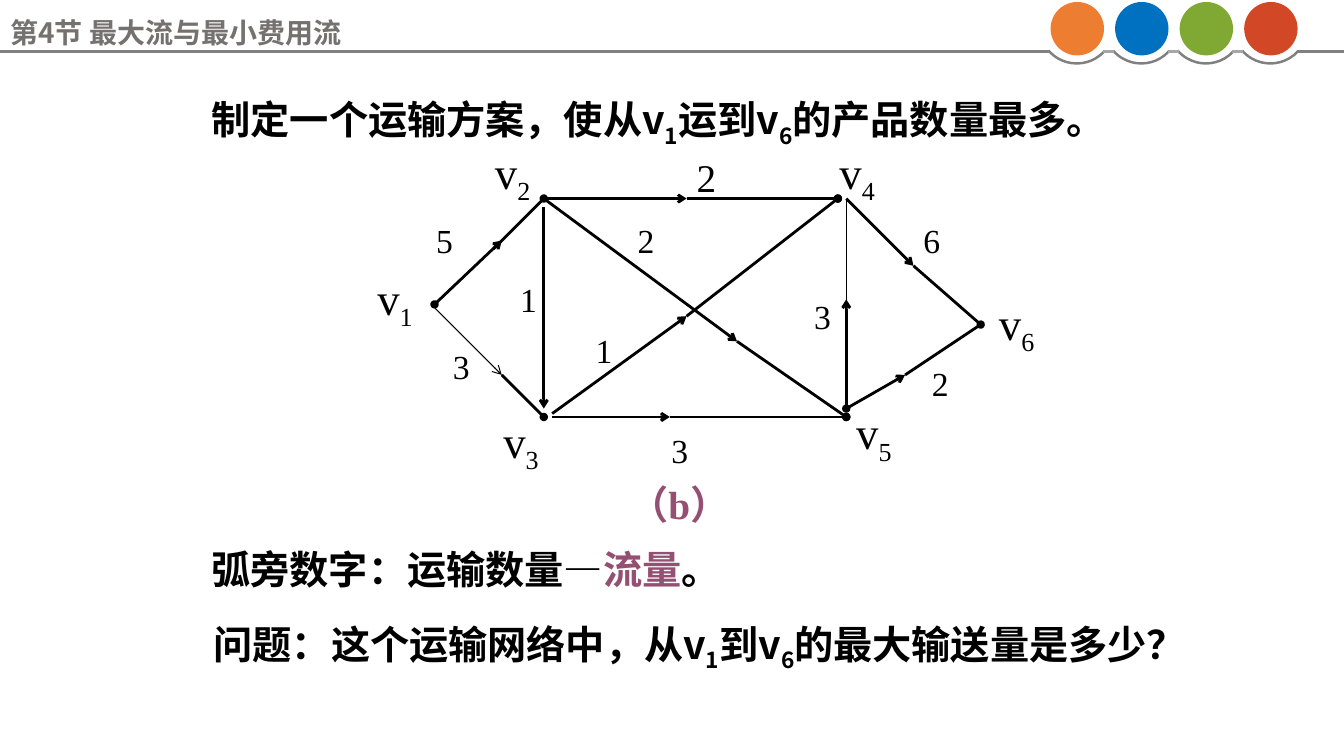
from dataclasses import dataclass

from lxml import etree
from pptx import Presentation
from pptx import util as u
from pptx.dml.color import RGBColor
from pptx.enum import shapes, text
from pptx.oxml import ns


@dataclass(frozen=True)
class Theme:
    serif: str = "Times New Roman"
    sans: str = "Noto Sans CJK SC"
    ink: str = "000000"
    accent: str = "954F72"
    heading: str = "767171"
    rule: str = "808080"
    bridge: str = "A6A6A6"
    discs: tuple = ("ED7D31", "0070C0", "80A933", "D24726")
    vertex_size: int = 32
    body_size: int = 28
    heading_size: int = 20
    weight_size: int = 24
    bold_line: float = 2
    thin_line: float = 0.75
    rule_line: float = 1.77


THEME = Theme()
CELL = 1 / 12
LEFT, TOP = 4.31, 1.97
RULE_Y = 0.51
DISC_LEFT, DISC_PITCH, DISC_SIZE = 10.42, 0.64, 0.53
CRADLE_SIZE = 0.74

VERTICES = [
    ("v_1", -8, 8, 10), ("v_2", 6, -7, 7.3), ("v_3", 7, 25, 9),
    ("v_4", 47, -7, 7.6), ("v_5", 49, 24, 7.6), ("v_6", 66, 11, 7.7),
]
WEIGHTS = [
    ("5", -1, 2, 11), ("3", 1, 17, 5.4), ("1", 9, 9, 5.4), ("1", 18, 15, 12),
    ("2", 23, 2, 6), ("3", 27, 27, 10), ("3", 44, 11, 5.4), ("6", 57, 2, 9),
    ("2", 58, 19, 8),
]
ARCS = [
    ((0, 12.6), (8, 5), "oval", "arrow"),
    ((7, 6), (13, 0), None, "oval"),
    ((8, 21), (13, 26), None, "oval"),
    ((13, 0), (30, 0), None, "arrow"),
    ((30, 0), (48, 0), None, "oval"),
    ((13, 1), (13, 25), None, "arrow"),
    ((13, 0), (36, 17), None, "arrow"),
    ((36, 17), (49, 26), None, "oval"),
    ((14, 25.6), (30, 14), None, "arrow"),
    ((30, 14), (48, 0), None, "oval"),
    ((14, 26), (28, 26), None, "arrow"),
    ((28, 26), (49, 26), None, "oval"),
    ((49, 25), (49, 12), "oval", "arrow"),
    ((49, 0), (57, 8), None, "arrow"),
    ((57, 8), (65, 15), None, "oval"),
    ((49, 25), (56, 21), None, "arrow"),
    ((56, 21), (65, 15), None, None),
]
THIN_ARCS = [((0, 13), (8, 21), None, "arrow"), ((49, 0), (49, 13), None, None)]


def grid(col, row):
    return LEFT + col * CELL, TOP + row * CELL


def write(frame, content, *, size, font=THEME.serif, color=THEME.ink, bold=False):
    frame.word_wrap = True
    frame.auto_size = text.MSO_AUTO_SIZE.NONE
    frame.vertical_anchor = text.MSO_ANCHOR.TOP
    paragraph = frame.paragraphs[0]
    paragraph.alignment = text.PP_ALIGN.LEFT
    for stretch, wording in enumerate(content.split("*")):
        shade = THEME.accent if stretch % 2 else color
        plain, *indexed = wording.split("_")
        pieces = [(plain, False)]
        for part in indexed:
            pieces += [(part[0], True), (part[1:], False)]
        for piece, subscript in pieces:
            if not piece:
                continue
            run = paragraph.add_run()
            run.text = piece
            run.font.size = u.Pt(size)
            run.font.name = font
            run.font.bold = bold
            run.font.color.rgb = RGBColor.from_string(shade)
            props = run.font._element
            east_asian = etree.SubElement(props, ns.qn("a:ea"))
            east_asian.set("typeface", THEME.sans)
            if subscript:
                props.set("baseline", "-25000")


def add_text(slide, content, left, top, width, height, **style):
    box = slide.shapes.add_textbox(*map(u.Inches, (left, top, width, height)))
    write(box.text_frame, content, **style)


def add_line(slide, start, end, color, weight, head=None, tail=None):
    line = slide.shapes.add_connector(
        shapes.MSO_CONNECTOR.STRAIGHT, *map(u.Inches, (*start, *end)))
    line.line.color.rgb = RGBColor.from_string(color)
    line.line.width = u.Pt(weight)
    outline = line.line._get_or_add_ln()
    for tag, ending in (("a:headEnd", head), ("a:tailEnd", tail)):
        if ending:
            etree.SubElement(outline, ns.qn(tag)).set("type", ending)
    etree.SubElement(line._element.spPr, ns.qn("a:effectLst"))


def add_round(slide, kind, left, top, size):
    figure = slide.shapes.add_shape(kind, *map(u.Inches, (left, top, size, size)))
    figure.shadow.inherit = False
    return figure


def add_disc(slide, left, color):
    disc = add_round(slide, shapes.MSO_SHAPE.OVAL, left, 0.02, DISC_SIZE)
    disc.fill.solid()
    disc.fill.fore_color.rgb = RGBColor.from_string(color)
    disc.line.fill.background()


def add_cradle(slide, left):
    cradle = add_round(slide, shapes.MSO_SHAPE.ARC, left, -0.11, CRADLE_SIZE)
    cradle.adjustments[0] = 25.38
    cradle.adjustments[1] = 83.6
    cradle.fill.background()
    cradle.line.color.rgb = RGBColor.from_string(THEME.rule)
    cradle.line.width = u.Pt(THEME.rule_line)


def add_header(slide, slide_width):
    heading = slide.shapes.title
    heading.left, heading.top, heading.width, heading.height = map(
        u.Inches, (0, 0.1, 10.96, 0.36))
    write(heading.text_frame, "第4节 最大流与最小费用流", size=THEME.heading_size,
          font=THEME.sans, color=THEME.heading, bold=True)
    for place, color in enumerate(THEME.discs):
        left = DISC_LEFT + place * DISC_PITCH
        add_cradle(slide, left - 0.11)
        add_disc(slide, left, color)
        if place:
            add_line(slide, (left - 0.12, RULE_Y), (left - 0.01, RULE_Y),
                     THEME.bridge, THEME.rule_line)
    for start, end in ((0, DISC_LEFT - 0.01), (12.86, slide_width)):
        add_line(slide, (start, RULE_Y), (end, RULE_Y), THEME.rule, THEME.rule_line)


def add_network(slide):
    for arcs, weight in ((ARCS, THEME.bold_line), (THIN_ARCS, THEME.thin_line)):
        for start, end, head, tail in arcs:
            add_line(slide, grid(*start), grid(*end), THEME.ink, weight, head, tail)
    for labels, size, height in ((VERTICES, THEME.vertex_size, 0.63),
                                 (WEIGHTS, THEME.weight_size, 0.5),
                                 ([("2", 30, -6, 10)], THEME.body_size, 0.57)):
        for label, col, row, cols in labels:
            add_text(slide, label, *grid(col, row), cols * CELL, height, size=size)
    add_text(slide, "（b）", *grid(22, 33), 4, 0.57, size=THEME.body_size,
             color=THEME.accent, bold=True)


def add_statements(slide):
    statements = [
        ("制定一个运输方案，使从v_1运到v_6的产品数量最多。", 2, 0.9, 9.95, THEME.sans),
        ("弧旁数字：运输数量—*流量*。", 2, 5.36, 8, THEME.serif),
        ("问题：这个运输网络中，从v_1到v_6的最大输送量是多少？", 2.02, 6.1, 10.1, THEME.sans),
    ]
    for statement, left, top, width, font in statements:
        add_text(slide, statement, left, top, width, 0.57,
                 size=THEME.body_size, font=font, bold=True)


def main():
    deck = Presentation()
    deck.slide_width, deck.slide_height = u.Inches(13.33), u.Inches(7.5)
    slide = deck.slides.add_slide(deck.slide_layouts[5])
    add_header(slide, deck.slide_width.inches)
    add_network(slide)
    add_statements(slide)
    deck.save("out.pptx")


if __name__ == "__main__":
    main()
